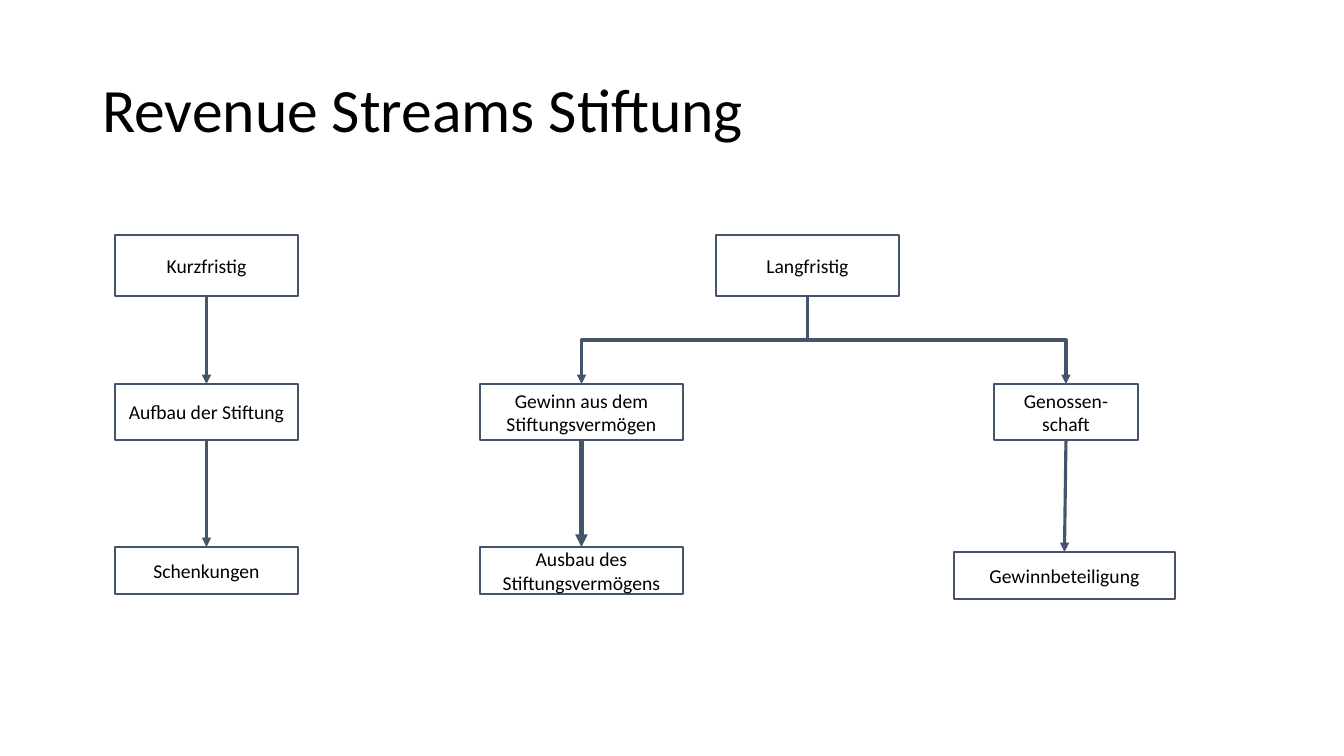
from lxml import etree
from pptx import Presentation
from pptx import util as u
from pptx.dml.color import RGBColor
from pptx.enum import shapes, text
from pptx.oxml.ns import qn

SCALE = 914400 / 100.8
HEX = {"ink": "000000", "paper": "FFFFFF", "slate": "44546A"}
TITLE = {"size": u.Pt(44), "name": "Calibri"}
LABEL = {"size": u.Pt(14), "name": "Calibri"}
BOXES = {
    "Kurzfristig": (115, 235, 183, 61),
    "Aufbau der Stiftung": (115, 384, 183, 56),
    "Schenkungen": (115, 547, 183, 47),
    "Langfristig": (716, 235, 183, 61),
    "Gewinn aus dem Stiftungsvermögen": (480, 384, 203, 56),
    "Ausbau des Stiftungsvermögens": (480, 547, 203, 47),
    "Genossen-schaft": (994, 384, 144, 56),
    "Gewinnbeteiligung": (954, 552, 221, 47),
}
LINKS = [
    ("Kurzfristig", "Aufbau der Stiftung", 2.25),
    ("Aufbau der Stiftung", "Schenkungen", 2.25),
    ("Langfristig", "Gewinn aus dem Stiftungsvermögen", 2.25),
    ("Langfristig", "Genossen-schaft", 2.25),
    ("Gewinn aus dem Stiftungsvermögen", "Ausbau des Stiftungsvermögens", 3),
    ("Genossen-schaft", "Gewinnbeteiligung", 2.25),
]


def px(*nums):
    return [u.Emu(round(n * SCALE)) for n in nums]


def tint(name):
    return RGBColor.from_string(HEX[name])


def write(shape, words, form, align):
    frame = shape.text_frame
    frame.text = words
    frame.word_wrap = True
    frame.vertical_anchor = text.MSO_ANCHOR.MIDDLE
    para = frame.paragraphs[0]
    para.alignment = align
    font = para.runs[0].font
    for key, val in form.items():
        setattr(font, key, val)
    font.color.rgb = tint("ink")
    return para


def head(slide, words):
    title = slide.shapes.title
    title.left, title.top, title.width, title.height = px(92, 40, 1160, 146)
    write(title, words, TITLE, text.PP_ALIGN.LEFT).line_spacing = 0.9


def box(slide, words, place):
    rect = slide.shapes.add_shape(shapes.MSO_SHAPE.RECTANGLE, *px(*place))
    rect.shadow.inherit = False
    rect.fill.solid()
    rect.fill.fore_color.rgb = tint("paper")
    rect.line.color.rgb = tint("slate")
    rect.line.width = u.Pt(1)
    write(rect, words, LABEL, text.PP_ALIGN.CENTER)


def style(line, weight):
    line.line.color.rgb = tint("slate")
    line.line.width = u.Pt(weight)
    props = line._element.spPr
    tail = etree.SubElement(props.find(qn("a:ln")), qn("a:tailEnd"))
    tail.set("type", "triangle")
    etree.SubElement(props, qn("a:effectLst"))


def arrow(slide, start, end, weight):
    line = slide.shapes.add_connector(
        shapes.MSO_CONNECTOR.STRAIGHT, *px(*start, *end))
    style(line, weight)


def bend(slide, start, end, weight):
    (x1, y1), (x2, y2) = start, end
    mid_x, mid_y = (x1 + x2) / 2, (y1 + y2) / 2
    side = 1 if x2 > x1 else -1
    run, rise = abs(x2 - x1) / 2, side * (y2 - y1) / 2
    line = slide.shapes.add_connector(
        shapes.MSO_CONNECTOR.ELBOW,
        *px(mid_x + rise, mid_y - run, mid_x - rise, mid_y + run))
    turn = 270 if side > 0 else 90
    line._element.spPr.find(qn("a:xfrm")).set("rot", str(turn * 60000))
    style(line, weight)


def link(slide, upper, lower, weight):
    left, top, width, height = BOXES[upper]
    start = (left + width / 2, top + height)
    left, top, width, height = BOXES[lower]
    end = (left + width / 2, top)
    draw = arrow if abs(end[0] - start[0]) < 5 else bend
    draw(slide, start, end, weight)


def main():
    deck = Presentation()
    deck.slide_width, deck.slide_height = px(1344, 756)
    slide = deck.slides.add_slide(deck.slide_layouts[5])
    head(slide, "Revenue Streams Stiftung")
    for words, place in BOXES.items():
        box(slide, words, place)
    for upper, lower, weight in LINKS:
        link(slide, upper, lower, weight)
    deck.save("out.pptx")


main()
